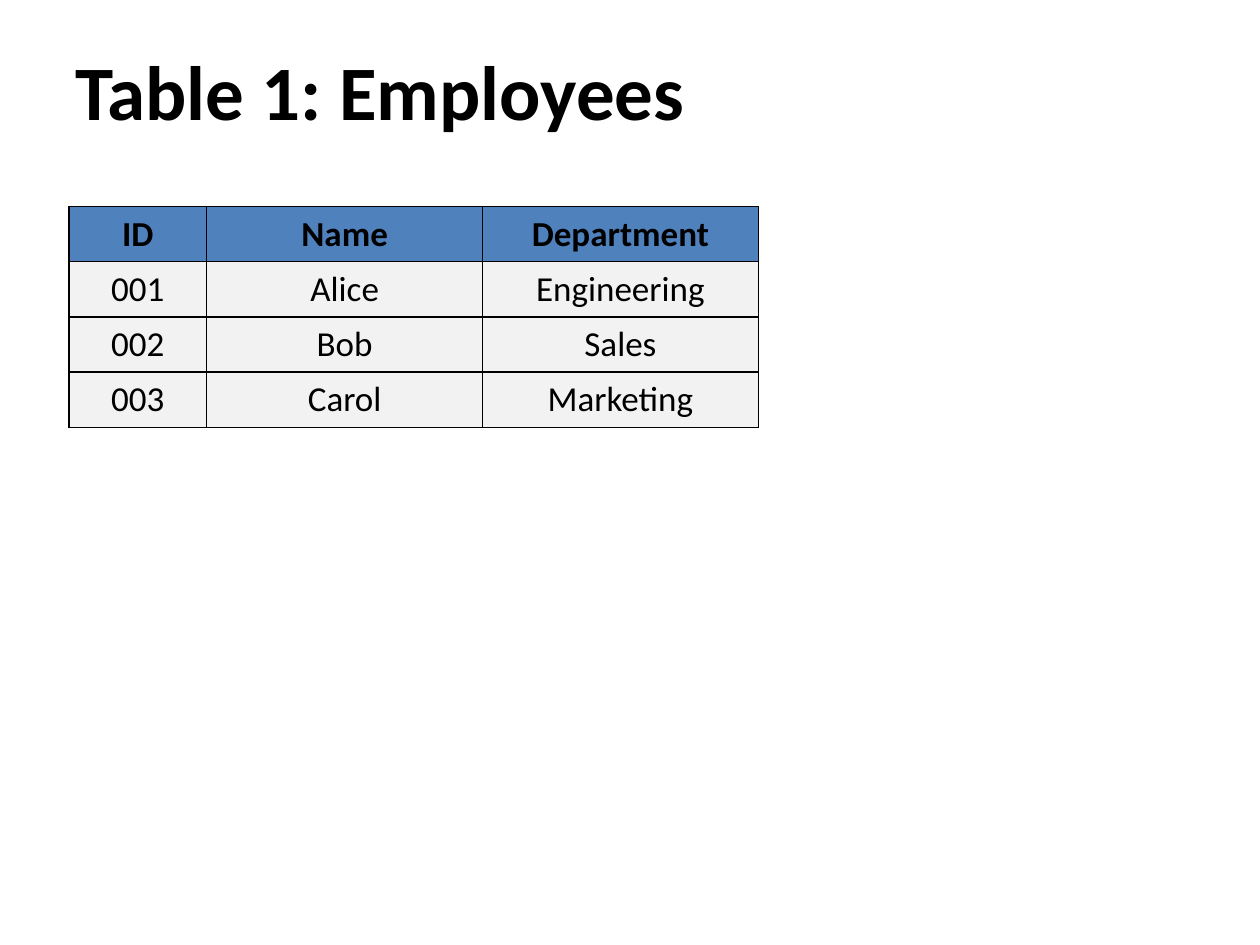
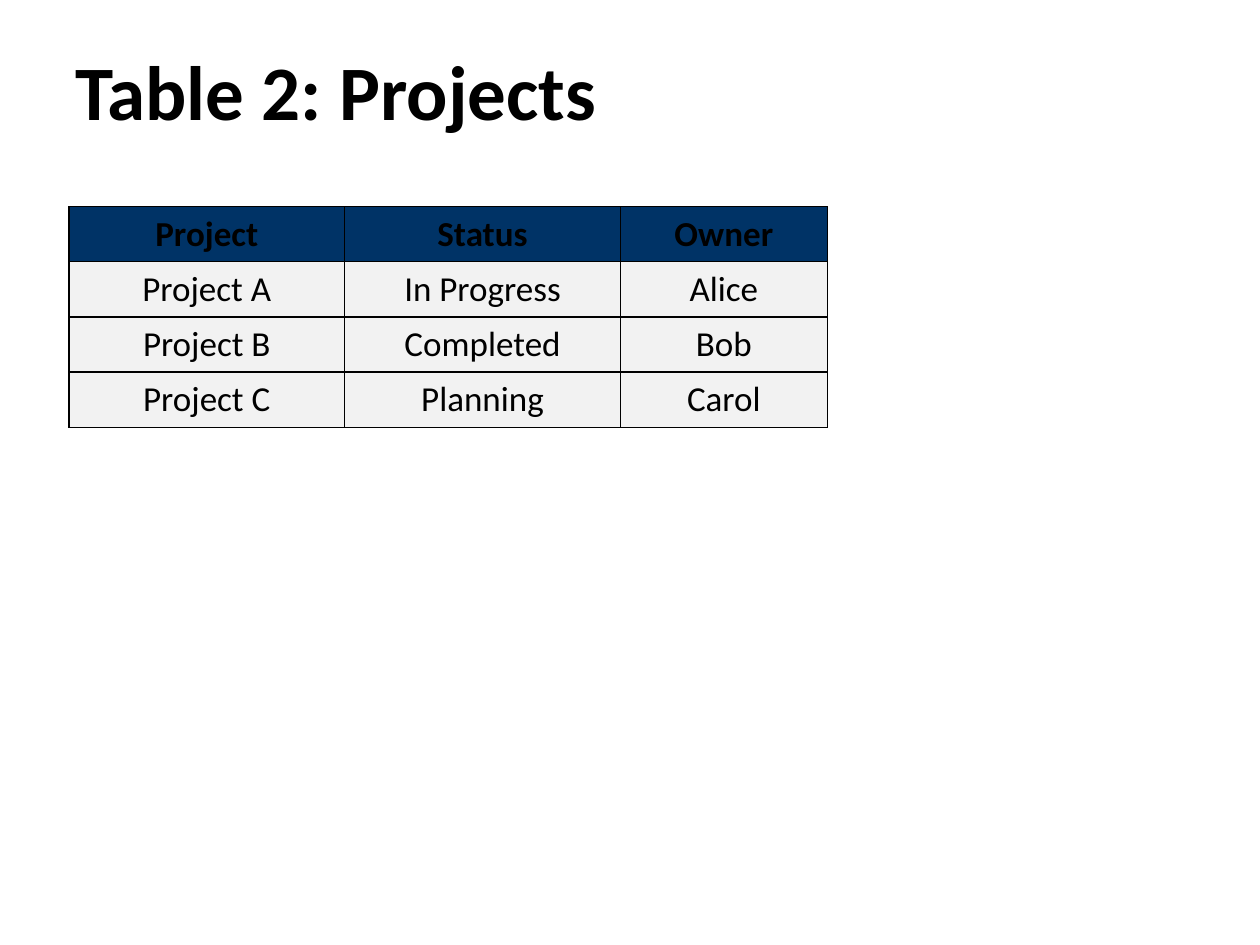
from dataclasses import dataclass

from lxml.etree import SubElement
from pptx import Presentation
from pptx.dml.color import RGBColor
from pptx.enum.text import MSO_ANCHOR, PP_ALIGN
from pptx.oxml.ns import qn
from pptx.presentation import Presentation as Deck
from pptx.slide import Slide
from pptx.table import _Cell
from pptx.text.text import _Paragraph
from pptx.util import Cm, Pt


@dataclass(frozen=True)
class Theme:
    font: str = "Calibri"
    text: str = "000000"
    border: str = "000000"
    body_fill: str = "F2F2F2"
    blue: str = "4F81BD"
    navy: str = "003366"
    title_size: int = 44
    table_size: int = 20
    border_width: float = 0.75


@dataclass(frozen=True)
class TableSlide:
    title: str
    header_fill: str
    col_units: tuple[int, ...]
    rows: tuple[tuple[str, ...], ...]


THEME = Theme()

# Column widths are multiples of one grid unit
UNIT = Cm(1.39)
ROW_HEIGHT = Cm(1.11)
TABLE_TOP = 3 * UNIT

SLIDES = (
    TableSlide("Table 1: Employees", THEME.blue, (2, 4, 4), (
        ("ID", "Name", "Department"),
        ("001", "Alice", "Engineering"),
        ("002", "Bob", "Sales"),
        ("003", "Carol", "Marketing"),
    )),
    TableSlide("Table 2: Projects", THEME.navy, (4, 4, 3), (
        ("Project", "Status", "Owner"),
        ("Project A", "In Progress", "Alice"),
        ("Project B", "Completed", "Bob"),
        ("Project C", "Planning", "Carol"),
    )),
)


def write(p: _Paragraph, text: str, size: int, bold: bool) -> None:
    r = p.add_run()
    r.text = text
    formats = {"name": THEME.font, "size": Pt(size), "bold": bold}
    for name, value in formats.items():
        setattr(r.font, name, value)
    r.font.color.rgb = RGBColor.from_string(THEME.text)


def add_title(s: Slide, text: str) -> None:
    tf = s.shapes.add_textbox(Cm(1.27), Cm(0.76), Cm(22.86), Cm(3.18)).text_frame
    tf.word_wrap = True
    tf.vertical_anchor = MSO_ANCHOR.TOP
    write(tf.paragraphs[0], text, THEME.title_size, True)


def add_borders(cell: _Cell) -> None:
    tc_pr = cell._tc.get_or_add_tcPr()
    for i, side in enumerate(("lnL", "lnR", "lnT", "lnB")):
        ln = SubElement(tc_pr, qn(f"a:{side}"), w=str(Pt(THEME.border_width)))
        fill = SubElement(ln, qn("a:solidFill"))
        SubElement(fill, qn("a:srgbClr"), val=THEME.border)
        tc_pr.insert(i, ln)  # borders come before the fill


def fill_cell(cell: _Cell, text: str, fill: str, bold: bool) -> None:
    cell.vertical_anchor = MSO_ANCHOR.MIDDLE
    cell.fill.solid()
    cell.fill.fore_color.rgb = RGBColor.from_string(fill)
    p = cell.text_frame.paragraphs[0]
    p.alignment = PP_ALIGN.CENTER
    write(p, text, THEME.table_size, bold)
    add_borders(cell)


def add_data_table(s: Slide, data: TableSlide) -> None:
    n_rows, n_cols = len(data.rows), len(data.col_units)
    table = s.shapes.add_table(n_rows, n_cols, UNIT, TABLE_TOP,
                               sum(data.col_units) * UNIT,
                               n_rows * ROW_HEIGHT).table
    for column, units in zip(table.columns, data.col_units):
        column.width = units * UNIT
    for i, row in enumerate(data.rows):
        table.rows[i].height = ROW_HEIGHT
        is_header = i == 0
        fill = data.header_fill if is_header else THEME.body_fill
        for j, text in enumerate(row):
            fill_cell(table.cell(i, j), text, fill, is_header)


def add_table_slide(prs: Deck, data: TableSlide) -> None:
    s = prs.slides.add_slide(prs.slide_layouts[6])
    add_title(s, data.title)
    add_data_table(s, data)


def main() -> None:
    prs = Presentation()
    prs.slide_width, prs.slide_height = Cm(25.4), Cm(19.05)
    for data in SLIDES:
        add_table_slide(prs, data)
    prs.save("out.pptx")


if __name__ == "__main__":
    main()
